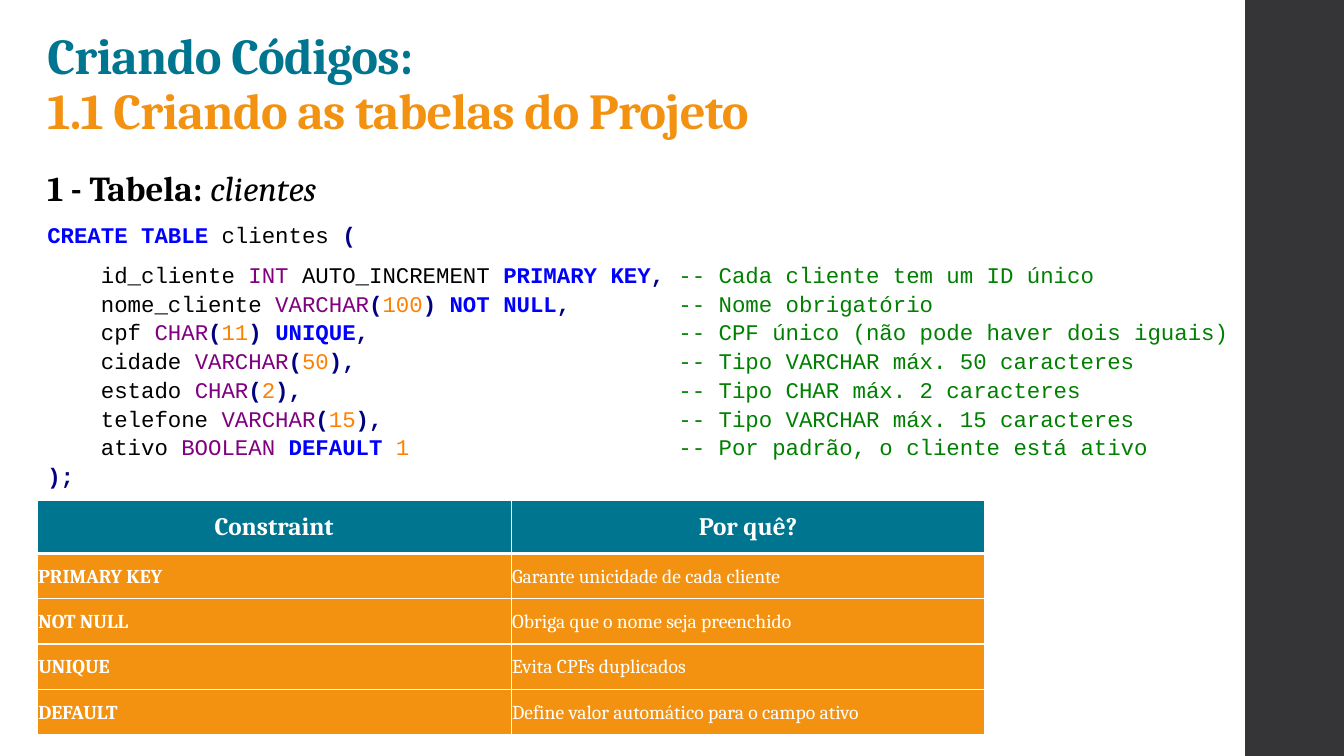
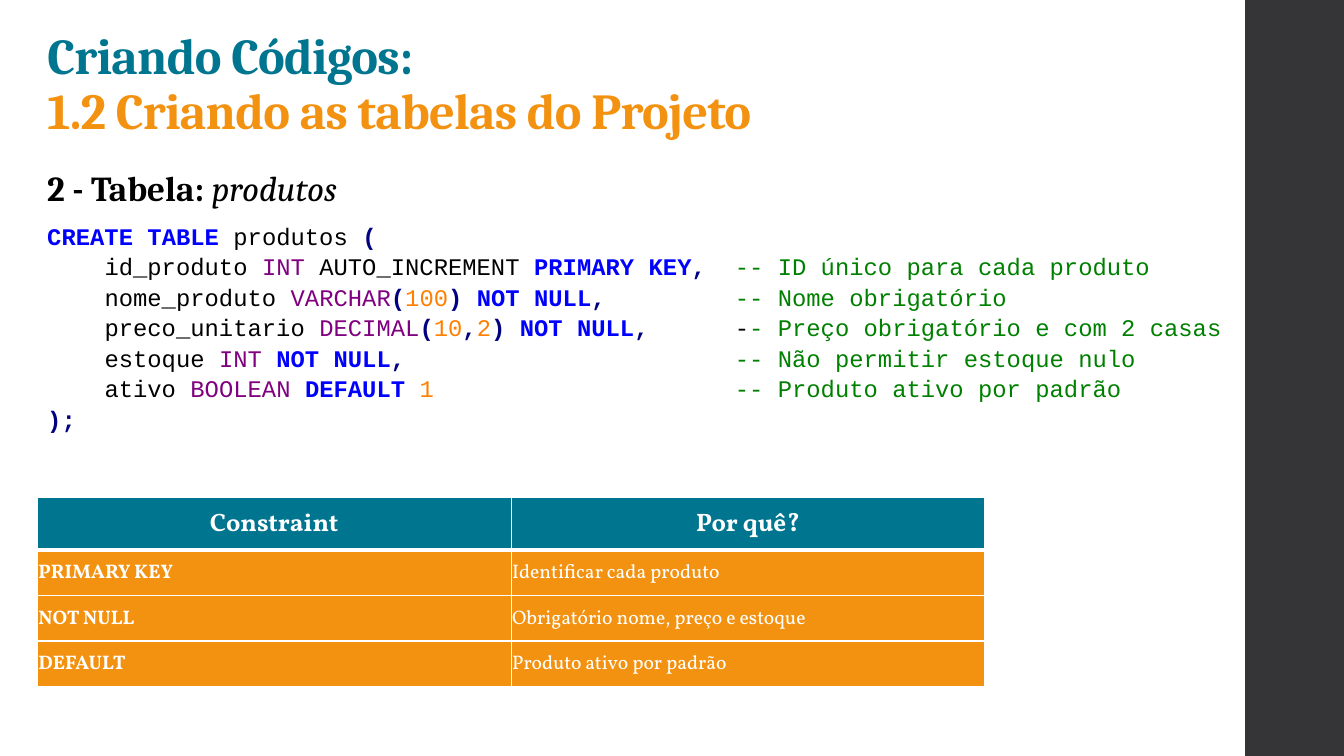
from dataclasses import dataclass
from itertools import groupby
from lxml.etree import SubElement as Sub
from pptx import Presentation
from pptx.dml.color import RGBColor as RGB
from pptx.enum.shapes import MSO_SHAPE as Shape
from pptx.enum.text import MSO_ANCHOR as Anchor, MSO_AUTO_SIZE as Auto, PP_ALIGN as Align
from pptx.oxml.ns import qn
from pptx.util import Inches, Pt


@dataclass(frozen=True)
class Theme:
    teal: str = "00758F"
    gold: str = "F39211"
    dark: str = "353537"
    white: str = "FFFFFF"
    ink: str = "000000"
    key: str = "0000FF"
    kind: str = "800080"
    num: str = "FF8000"
    mark: str = "000080"
    note: str = "008000"
    serif: str = "Cambria"
    mono: str = "Courier New"
    title: int = 36
    head: int = 25
    th: int = 18
    td: int = 14
    lead: float = 1.07


T = Theme()
KEYS = {"CREATE", "TABLE", "PRIMARY", "KEY", "NOT", "NULL", "UNIQUE", "DEFAULT"}
KINDS = {"INT", "VARCHAR", "CHAR", "DECIMAL", "BOOLEAN"}


def say(para, text, size=T.td, color=T.ink, face=T.serif, bold=False, slant=False, space=None):
    run = para.add_run()
    run.text = text
    font = run.font
    font.size, font.name, font.bold, font.italic = Pt(size), face, bold, slant
    font.color.rgb = RGB.from_string(color)
    if space is not None:
        run._r.get_or_add_rPr().set("spc", str(space))


pages = [
    dict(
        title="1.1 Criando as tabelas do Projeto", head="1 - Tabela: ", name="clientes",
        size=16, tab=6.26, gap=8, wide=89.9, top=66.13, face="Cambria",
        code=[
            ("CREATE TABLE clientes (", ""),
            ("    id_cliente INT AUTO_INCREMENT PRIMARY KEY,\t", "-- Cada cliente tem um ID único"),
            ("    nome_cliente VARCHAR(100) NOT NULL,\t", "-- Nome obrigatório"),
            ("    cpf CHAR(11) UNIQUE,\t", "-- CPF único (não pode haver dois iguais)"),
            ("    cidade VARCHAR(50),\t", "-- Tipo VARCHAR máx. 50 caracteres"),
            ("    estado CHAR(2),\t", "-- Tipo CHAR máx. 2 caracteres"),
            ("    telefone VARCHAR(15),\t", "-- Tipo VARCHAR máx. 15 caracteres"),
            ("    ativo BOOLEAN DEFAULT 1\t", "-- Por padrão, o cliente está ativo"),
            (");", ""),
        ],
        rows=[
            ("PRIMARY KEY", "Garante unicidade de cada cliente"),
            ("NOT NULL", "Obriga que o nome seja preenchido"),
            ("UNIQUE", "Evita CPFs duplicados"),
            ("DEFAULT", "Define valor automático para o campo ativo"),
        ],
    ),
    dict(
        title="1.2 Criando as tabelas do Projeto", head="2 - Tabela: ", name="produtos",
        size=17, tab=6.82, gap=0, wide=90.2, top=65.73, face="Vollkorn",
        code=[
            ("CREATE TABLE produtos (", ""),
            ("    id_produto INT AUTO_INCREMENT PRIMARY KEY,\t", "-- ID único para cada produto"),
            ("    nome_produto VARCHAR(100) NOT NULL,\t", "-- Nome obrigatório"),
            ("    preco_unitario DECIMAL(10,2) NOT NULL,\t-", "- Preço obrigatório e com 2 casas"),
            ("    estoque INT NOT NULL,\t", "-- Não permitir estoque nulo"),
            ("    ativo BOOLEAN DEFAULT 1\t", "-- Produto ativo por padrão"),
            (");", ""),
        ],
        rows=[
            ("PRIMARY KEY", "Identificar cada produto"),
            ("NOT NULL", "Obrigatório nome, preço e estoque"),
            ("DEFAULT", "Produto ativo por padrão"),
        ],
    ),
]

deck = Presentation()
deck.slide_width, deck.slide_height = Inches(13.33), Inches(7.5)
COL, ROW = deck.slide_width / 100, deck.slide_height / 100


def area(x, y, w, h):
    return int(x * COL), int(y * ROW), int(w * COL), int(h * ROW)


LEFT = 2.78

for page in pages:
    slide = deck.slides.add_slide(deck.slide_layouts[5])
    band = slide.shapes.add_shape(Shape.RECTANGLE, *area(92.65, 0, 7.35, 100))
    band.shadow.inherit = False
    band.fill.solid()
    band.fill.fore_color.rgb = RGB.from_string(T.dark)
    band.line.fill.background()

    title = slide.shapes.title
    title.left, title.top, title.width, title.height = area(LEFT, 2.7, 79.5, 16.5)
    frame = title.text_frame
    frame.auto_size, frame.word_wrap = Auto.NONE, True
    frame.vertical_anchor = Anchor.BOTTOM
    lines = [("Criando Códigos:", T.teal), (page["title"], T.gold)]
    for i, (text, color) in enumerate(lines):
        para = frame.add_paragraph() if i else frame.paragraphs[0]
        para.alignment, para.line_spacing = Align.LEFT, 0.9
        say(para, text, size=T.title, color=color, bold=True, space=-50)

    frame = slide.shapes.add_textbox(*area(LEFT, 20.93, page["wide"], 44)).text_frame
    frame.word_wrap = True
    para = frame.paragraphs[0]
    para.line_spacing, para.space_after = T.lead, Pt(8)
    say(para, page["head"], size=T.head, bold=True)
    say(para, page["name"], size=T.head, slant=True)
    for i, (code, note) in enumerate(page["code"]):
        para = frame.add_paragraph()
        para.line_spacing, para.space_after = T.lead, Pt(0 if i else page["gap"])
        tabs = Sub(para._p.get_or_add_pPr(), qn("a:tabLst"))
        Sub(tabs, qn("a:tab"), pos=str(Inches(page["tab"])), algn="l")
        for word, chars in groupby(code, lambda c: c.isalnum() or c in "_-"):
            text = "".join(chars)
            color = T.ink if word else T.mark
            if text in KEYS:
                color = T.key
            elif text in KINDS:
                color = T.kind
            elif text.isdigit():
                color = T.num
            say(para, text, size=page["size"], color=color, face=T.mono,
                bold=color in (T.key, T.mark))
        if note:
            say(para, note, size=page["size"], color=T.note, face=T.mono)

    rows = [("Constraint", "Por quê?")] + page["rows"]
    high = [7.07] + [6] * len(page["rows"])
    grid = slide.shapes.add_table(len(rows), 2, *area(LEFT, page["top"], 70.5, sum(high))).table
    grid.horz_banding = False
    for r, row in enumerate(rows):
        grid.rows[r].height = int(high[r] * ROW)
        for c, text in enumerate(row):
            cell = grid.cell(r, c)
            cell.margin_left = cell.margin_right = Inches(0.01)
            cell.margin_top = cell.margin_bottom = Inches(0.01)
            cell.vertical_anchor = Anchor.MIDDLE
            for side in "LRTB":
                thick = 3 if (r, side) in ((0, "B"), (1, "T")) else 1
                edge = Sub(cell._tc.get_or_add_tcPr(), qn("a:ln" + side), w=str(Pt(thick)))
                Sub(Sub(edge, qn("a:solidFill")), qn("a:srgbClr"), val=T.white)
            cell.fill.solid()
            cell.fill.fore_color.rgb = RGB.from_string(T.gold if r else T.teal)
            para = cell.text_frame.paragraphs[0]
            para.line_spacing = T.lead
            para.alignment = Align.LEFT if r else Align.CENTER
            say(para, text, size=T.td if r else T.th, color=T.white,
                face=page["face"], bold=r == 0 or c == 0)

deck.save("out.pptx")
